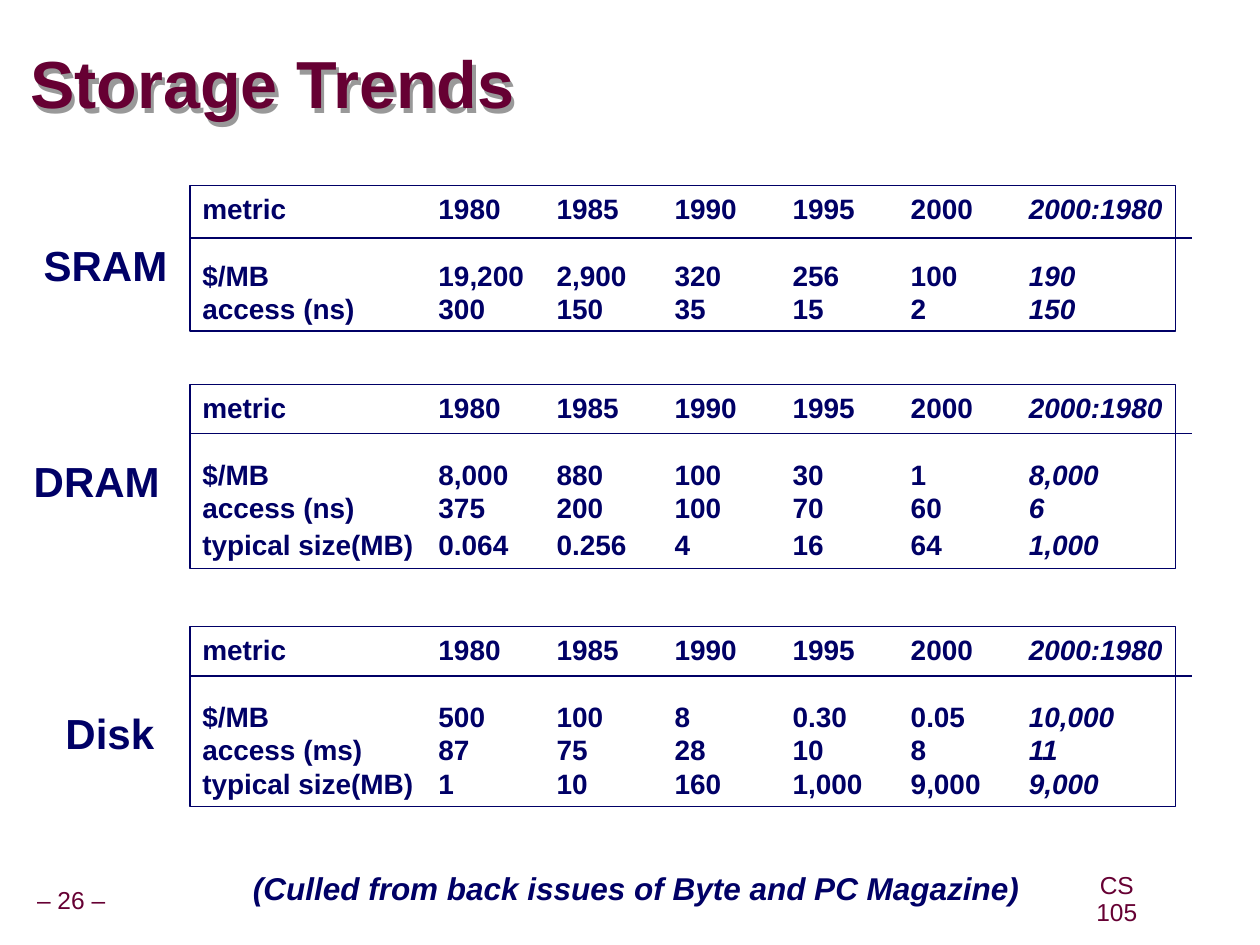
import pptx
import pptx.util
import pptx.dml.color
import pptx.enum.shapes
import pptx.enum.text
import pptx.oxml.ns
from lxml import etree

Cm, Pt = pptx.util.Cm, pptx.util.Pt
RGBColor = pptx.dml.color.RGBColor
ALIGN = pptx.enum.text.PP_ALIGN
ANCHOR = pptx.enum.text.MSO_ANCHOR
AUTO_SIZE = pptx.enum.text.MSO_AUTO_SIZE
qn = pptx.oxml.ns.qn

NAVY = RGBColor(0x00, 0x00, 0x66)
MAROON = RGBColor(0x66, 0x00, 0x33)
SHADOW = RGBColor(0x99, 0x99, 0x99)

TABLE_LEFT, TABLE_WIDTH, RULE_WIDTH = 3.83, 19.87, 20.2
FIRST_TAB, TAB_STEP, COLUMNS = 4.76, 2.38, 6
ROW_PITCH = 19.1  # points
HEADER = "metric 1980 1985 1990 1995 2000 2000:1980".split()

# name, box top and height, rule offset, space before the last row (points),
# label (left, offset, width), rows
TABLES = [
    ("SRAM", 3.74, 2.94, 1.06, 0, (0.63, 0.97, 3.0), [
        ["$/MB", "19,200", "2,900", "320", "256", "100", "190"],
        ["access (ns)", "300", "150", "35", "15", "2", "150"]]),
    ("DRAM", 7.75, 3.71, 0.99, 2, (0.43, 1.31, 3.05), [
        ["$/MB", "8,000", "880", "100", "30", "1", "8,000"],
        ["access (ns)", "375", "200", "100", "70", "60", "6"],
        ["typical size(MB)", "0.064", "0.256", "4", "16", "64", "1,000"]]),
    ("Disk", 12.63, 3.63, 0.99, 0, (1.07, 1.5, 2.29), [
        ["$/MB", "500", "100", "8", "0.30", "0.05", "10,000"],
        ["access (ms)", "87", "75", "28", "10", "8", "11"],
        ["typical size(MB)", "1", "10", "160", "1,000", "9,000", "9,000"]]),
]


def set_all(target, values):
    for name, value in values.items():
        setattr(target, name, value)


def add_run(p, text, size, color, **formats):
    r = p.add_run()
    r.text = text
    set_all(r.font, {"name": "Arial", "size": Pt(size), **formats})
    r.font.color.rgb = color


def add_label(slide, box, text, size, color, align=ALIGN.LEFT, **formats):
    """One line of unwrapped text in a box that grows with it."""
    s = slide.shapes.add_textbox(*map(Cm, box))
    set_all(s.text_frame, {"word_wrap": False,
                           "auto_size": AUTO_SIZE.SHAPE_TO_FIT_TEXT})
    p = s.text_frame.paragraphs[0]
    p.alignment = align
    add_run(p, text, size, color, **formats)
    return s


def add_title(slide, box, text):
    s = slide.shapes.title
    s.left, s.top, s.width, s.height = map(Cm, box)
    tf = s.text_frame
    set_all(tf, {"margin_left": 0, "margin_top": 0, "margin_right": 0,
                 "margin_bottom": 0, "vertical_anchor": ANCHOR.MIDDLE,
                 "word_wrap": True, "auto_size": AUTO_SIZE.NONE})
    p = tf.paragraphs[0]
    p.alignment, p.line_spacing = ALIGN.LEFT, 0.87
    add_run(p, text, 38, MAROON, bold=True)
    # The shadow of an unfilled shape falls from its text
    s.fill.background()
    effects = etree.SubElement(s._element.spPr, qn("a:effectLst"))
    shadow = etree.SubElement(effects, qn("a:outerShdw"), dist=str(Pt(3.6)),
                              dir=str(56 * 60000), algn="ctr",
                              rotWithShape="0")
    etree.SubElement(shadow, qn("a:srgbClr"), val=str(SHADOW))


def add_row(p, cells):
    """Tab-separated cells, the last one in italics."""
    p.alignment, p.line_spacing = ALIGN.LEFT, Pt(ROW_PITCH)
    tabs = etree.SubElement(p._p.get_or_add_pPr(), qn("a:tabLst"))
    for i in range(COLUMNS):
        etree.SubElement(tabs, qn("a:tab"), algn="l",
                         pos=str(Cm(FIRST_TAB + i * TAB_STEP)))
    add_run(p, "\t".join(cells[:-1]) + "\t", 16, NAVY, bold=True)
    add_run(p, cells[-1], 16, NAVY, bold=True, italic=True)


def add_trend_table(slide, box, rule_offset, last_gap, rows):
    left, top, width, height = box
    # Frame
    s = slide.shapes.add_shape(pptx.enum.shapes.MSO_SHAPE.RECTANGLE,
                               *map(Cm, box))
    s.shadow.inherit = False
    s.fill.background()
    s.line.color.rgb, s.line.width = NAVY, Pt(1)
    # Rows, with a gap of one row below the header
    tf = s.text_frame
    set_all(tf, {"word_wrap": True, "vertical_anchor": ANCHOR.TOP,
                 "margin_right": 0})
    add_row(tf.paragraphs[0], HEADER)
    gaps = [ROW_PITCH] + [0] * (len(rows) - 2) + [last_gap]
    for cells, gap in zip(rows, gaps):
        p = tf.add_paragraph()
        add_row(p, cells)
        p.space_before = Pt(gap)
    # Rule under the header
    y = Cm(top + rule_offset)
    line = slide.shapes.add_connector(
        pptx.enum.shapes.MSO_CONNECTOR.STRAIGHT,
        Cm(left), y, Cm(left + RULE_WIDTH), y)
    line.line.color.rgb, line.line.width = NAVY, Pt(1)
    etree.SubElement(line._element.spPr, qn("a:effectLst"))


def add_footer(slide, box, text):
    tf = add_label(slide, box, text, 14, MAROON, ALIGN.CENTER).text_frame
    set_all(tf, {"vertical_anchor": ANCHOR.MIDDLE,
                 "margin_left": Cm(0.13), "margin_right": Cm(0.13)})
    tf.paragraphs[0].line_spacing = 0.9


def main():
    prs = pptx.Presentation()
    prs.slide_width, prs.slide_height = Cm(25.4), Cm(19.05)
    slide = prs.slides.add_slide(prs.slide_layouts[5])

    add_title(slide, (0.61, 0.69, 20.5, 2.16), "Storage Trends")
    for name, top, height, rule, gap, label, rows in TABLES:
        add_trend_table(slide, (TABLE_LEFT, top, TABLE_WIDTH, height),
                        rule, gap, rows)
        left, offset, width = label
        add_label(slide, (left, top + offset, width, 1.27), name, 24, NAVY,
                  bold=True)
    # Source note and footers
    add_label(slide, (4.85, 17.4, 15.98, 1.02),
              "(Culled from back issues of Byte and PC Magazine)", 18, NAVY,
              bold=True, italic=True)
    add_footer(slide, (-0.23, 17.78, 3.33, 0.79), "– 26 –")
    add_footer(slide, (21.56, 17.75, 1.91, 0.79), "CS 105")
    prs.save("out.pptx")


if __name__ == "__main__":
    main()
